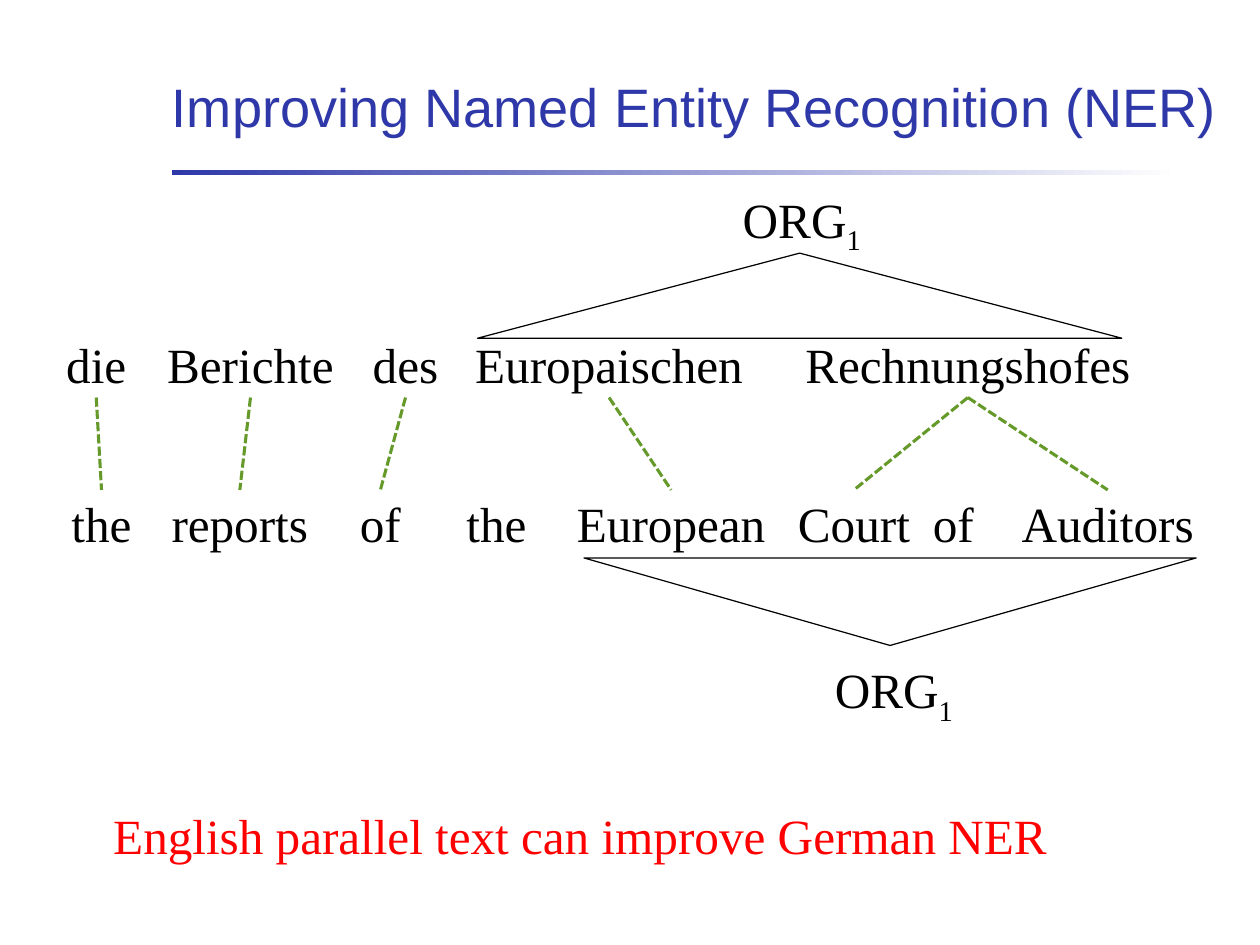
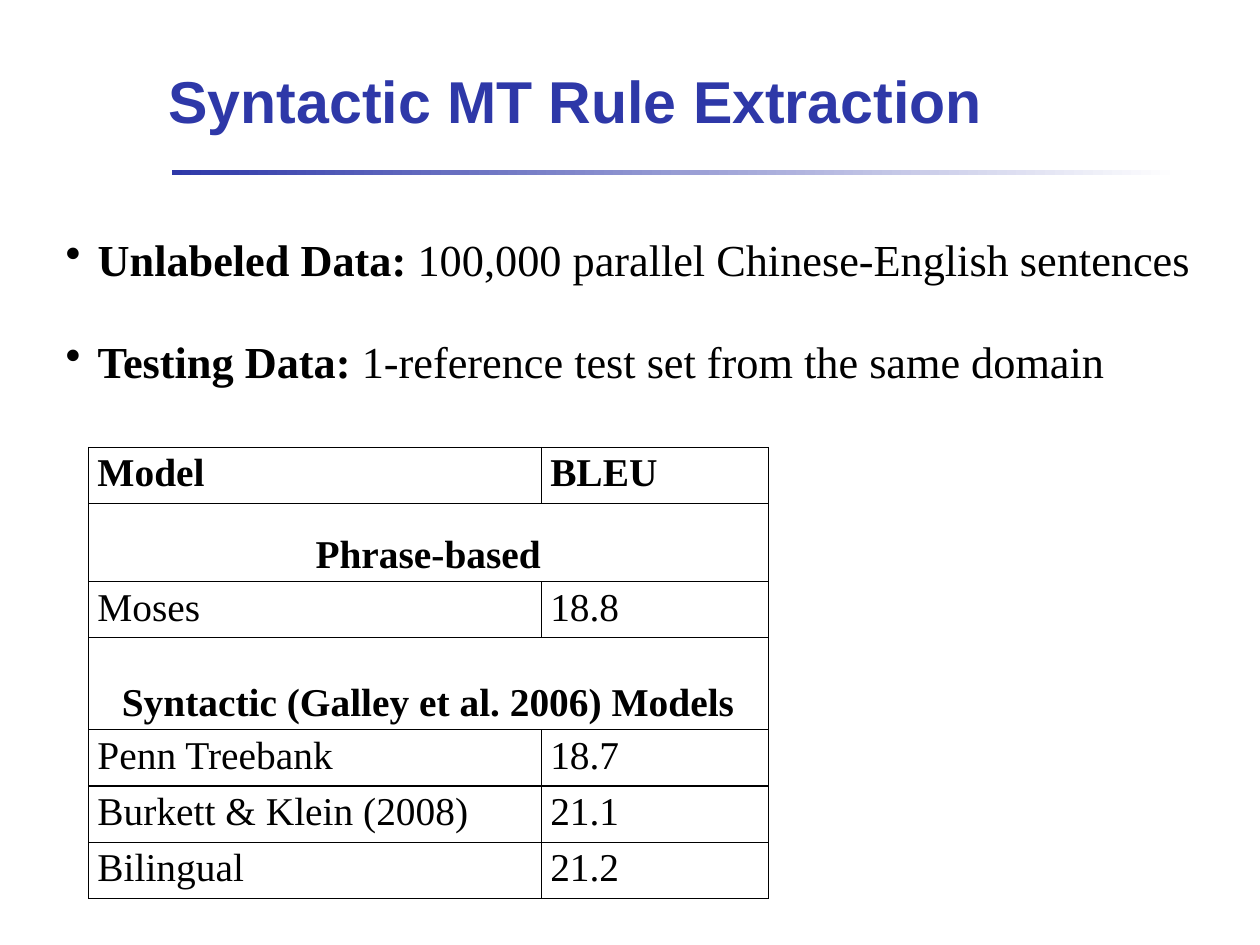
from lxml import etree
from pptx import Presentation
from pptx.dml.color import RGBColor
from pptx.enum.dml import MSO_LINE
from pptx.enum.shapes import MSO_CONNECTOR, MSO_SHAPE
from pptx.enum.text import MSO_ANCHOR, MSO_AUTO_SIZE, PP_ALIGN
from pptx.oxml import parse_xml
from pptx.oxml.ns import nsdecls, qn
from pptx.util import Cm, Pt

BLUE = RGBColor(0x2E, 0x38, 0xA8)
GREEN = RGBColor(0x65, 0x9A, 0x2A)
RED = RGBColor(0xFF, 0x00, 0x00)
BLACK = RGBColor(0x00, 0x00, 0x00)
WHITE = RGBColor(0xFF, 0xFF, 0xFF)
TITLE_FONT, BODY_FONT = "Arial", "Times New Roman"
LEFT, CENTER = PP_ALIGN.LEFT, PP_ALIGN.CENTER
MIDDLE, BOTTOM = MSO_ANCHOR.MIDDLE, MSO_ANCHOR.BOTTOM
NO_FIT = MSO_AUTO_SIZE.NONE
DASH = MSO_LINE.SQUARE_DOT
STRAIGHT = MSO_CONNECTOR.STRAIGHT
RECTANGLE, TRIANGLE = MSO_SHAPE.RECTANGLE, MSO_SHAPE.ISOSCELES_TRIANGLE
TITLE_ONLY = 5

NER_TITLE = "Improving Named Entity Recognition (NER)"
GERMAN = [("die", 1.12, 3.28), ("Berichte", 4.27, 5.82), ("des", 9.86, 3.53),
          ("Europaischen", 12.67, 9.58), ("Rechnungshofes", 21.41, 12.67)]
ENGLISH = [("the", 1.27, 3.28), ("reports", 4.32, 5.11), ("of", 9.14, 3.53),
           ("the", 12.47, 3.53), ("European", 16, 6.48), ("Court", 22.17, 4.62),
           ("of", 25.78, 3.1), ("Auditors", 28.63, 6.25)]
ALIGNMENTS = [(0, 0), (1, 1), (2, 2), (3, 4), (4, 5), (4, 7)]
GERMAN_TOP, ENGLISH_TOP, WORD_HEIGHT = 9.5, 14.05, 1.9
ENTITIES = [((20.8, 5.33), (13.69, 7.26, 18.47, 2.44), 0),
            ((23.44, 18.82), (16.74, 16, 17.55, 2.51), 180)]
ENTITY_WIDTH = 4.37
MESSAGE = "English parallel text can improve German NER"

MT_TITLE = "Syntactic MT Rule Extraction"
DATA_SETS = [("Unlabeled Data: ", "100,000 parallel Chinese-English sentences"),
             ("Testing Data: ", "1-reference test set from the same domain")]
RESULTS = [("Model", "BLEU"), ("Phrase-based",), ("Moses", "18.8"),
           ("Syntactic (Galley et al. 2006) Models",), ("Penn Treebank", "18.7"),
           ("Burkett & Klein (2008)", "21.1"), ("Bilingual", "21.2")]
COLUMN_WIDTHS = (12.98, 6.5)
ROW_HEIGHTS = (1.6, 2.24, 1.6, 2.64, 1.6, 1.6, 1.6)


def style(run, size, color=BLACK, bold=False, name=BODY_FONT):
    run.font.name = name
    run.font.size = Pt(size)
    run.font.bold = bold
    run.font.color.rgb = color


def set_margins(frame, side, end):
    frame.margin_left = frame.margin_right = Cm(side)
    frame.margin_top = frame.margin_bottom = Cm(end)


def add_titled_slide(prs, title, box, size, bold=False):
    slide = prs.slides.add_slide(prs.slide_layouts[TITLE_ONLY])
    rule = slide.shapes.add_shape(RECTANGLE, Cm(4.93), Cm(4.88), Cm(28.88), Cm(0.13))
    rule.shadow.inherit = False
    rule.line.fill.background()
    rule.fill.gradient()
    rule.fill.gradient_angle = 0
    for stop, position, color in zip(rule.fill.gradient_stops, (0, 1), (BLUE, WHITE)):
        stop.position = position
        stop.color.rgb = color
    heading = slide.shapes.title
    heading.left, heading.top, heading.width, heading.height = map(Cm, box)
    frame = heading.text_frame
    frame.text = title
    frame.auto_size = NO_FIT
    frame.vertical_anchor = MIDDLE
    set_margins(frame, 0.36, 0.18)
    frame.paragraphs[0].alignment = LEFT
    style(frame.paragraphs[0].runs[0], size, BLUE, bold, TITLE_FONT)
    return slide


def add_label(slide, text, left, top, width, color=BLACK, subscript=None):
    frame = slide.shapes.add_textbox(Cm(left), Cm(top), Cm(width), Cm(WORD_HEIGHT)).text_frame
    frame.word_wrap = True
    set_margins(frame, 0.2, 0.1)
    line = frame.paragraphs[0]
    line.text = text
    line.alignment = CENTER
    if subscript:
        line.add_run().text = subscript
        line.runs[1]._r.get_or_add_rPr().set("baseline", "-25000")
    for run in line.runs:
        style(run, 40, color)


def add_alignment(slide, german, english):
    start, end = (left + width / 2 for _, left, width in (german, english))
    link = slide.shapes.add_connector(STRAIGHT, Cm(start), Cm(GERMAN_TOP + WORD_HEIGHT),
                                      Cm(end), Cm(ENGLISH_TOP))
    link.line.color.rgb = GREEN
    link.line.width = Pt(2.5)
    link.line.dash_style = DASH
    etree.SubElement(link._element.spPr, qn("a:effectLst"))


def add_entity(slide, label_at, span, rotation):
    bracket = slide.shapes.add_shape(TRIANGLE, *map(Cm, span))
    bracket.shadow.inherit = False
    bracket.rotation = rotation
    bracket.fill.background()
    bracket.line.color.rgb = BLACK
    bracket.line.width = Pt(1)
    add_label(slide, "ORG", *label_at, ENTITY_WIDTH, subscript="1")


def build_ner(prs):
    slide = add_titled_slide(prs, NER_TITLE, (4.57, 1.24, 30.73, 3.61), 44)
    for words, top in ((GERMAN, GERMAN_TOP), (ENGLISH, ENGLISH_TOP)):
        for word, left, width in words:
            add_label(slide, word, left, top, width)
    for german, english in ALIGNMENTS:
        add_alignment(slide, GERMAN[german], ENGLISH[english])
    for entity in ENTITIES:
        add_entity(slide, *entity)
    add_label(slide, MESSAGE, 1.42, 22.99, 30.43, RED)


def add_data_sets(slide):
    frame = slide.shapes.add_textbox(Cm(1.63), Cm(6.53), Cm(32.87), Cm(4.75)).text_frame
    frame.word_wrap = True
    for index, (name, description) in enumerate(DATA_SETS):
        item = frame.add_paragraph() if index else frame.paragraphs[0]
        item.space_before = Pt(40)
        for text, bold in ((name, True), (description, False)):
            run = item.add_run()
            run.text = text
            style(run, 36, bold=bold)
        properties = item._p.get_or_add_pPr()
        properties.set("marL", str(Cm(0.92)))
        properties.set("indent", str(-Cm(0.92)))
        etree.SubElement(properties, qn("a:buChar")).set("char", "•")


def format_cell(cell):
    properties = cell._tc.get_or_add_tcPr()
    for side in ("lnL", "lnR", "lnT", "lnB"):
        properties.append(parse_xml(
            f'<a:{side} {nsdecls("a")} w="{Pt(1)}"><a:solidFill>'
            f'<a:srgbClr val="{BLACK}"/></a:solidFill></a:{side}>'))
    cell.fill.solid()
    cell.fill.fore_color.rgb = WHITE


def add_results(slide):
    table = slide.shapes.add_table(len(RESULTS), len(COLUMN_WIDTHS), Cm(2.54), Cm(12.83),
                                   Cm(sum(COLUMN_WIDTHS)), Cm(sum(ROW_HEIGHTS))).table
    for column, width in zip(table.columns, COLUMN_WIDTHS):
        column.width = Cm(width)
    for index, (values, height) in enumerate(zip(RESULTS, ROW_HEIGHTS)):
        table.rows[index].height = Cm(height)
        is_group = len(values) == 1
        for column in range(len(COLUMN_WIDTHS)):
            format_cell(table.cell(index, column))
        if is_group:
            table.cell(index, 0).merge(table.cell(index, 1))
            table.cell(index, 0).vertical_anchor = BOTTOM
        for column, value in enumerate(values):
            line = table.cell(index, column).text_frame.paragraphs[0]
            line.text = value
            line.alignment = CENTER if is_group else LEFT
            style(line.runs[0], 32, bold=is_group or index == 0)


def build_mt(prs):
    slide = add_titled_slide(prs, MT_TITLE, (4.47, 0.61, 31.34, 4.52), 48, True)
    add_data_sets(slide)
    add_results(slide)


def main():
    prs = Presentation()
    prs.slide_width, prs.slide_height = Cm(36.12), Cm(27.1)
    build_ner(prs)
    build_mt(prs)
    prs.save("out.pptx")


if __name__ == "__main__":
    main()
